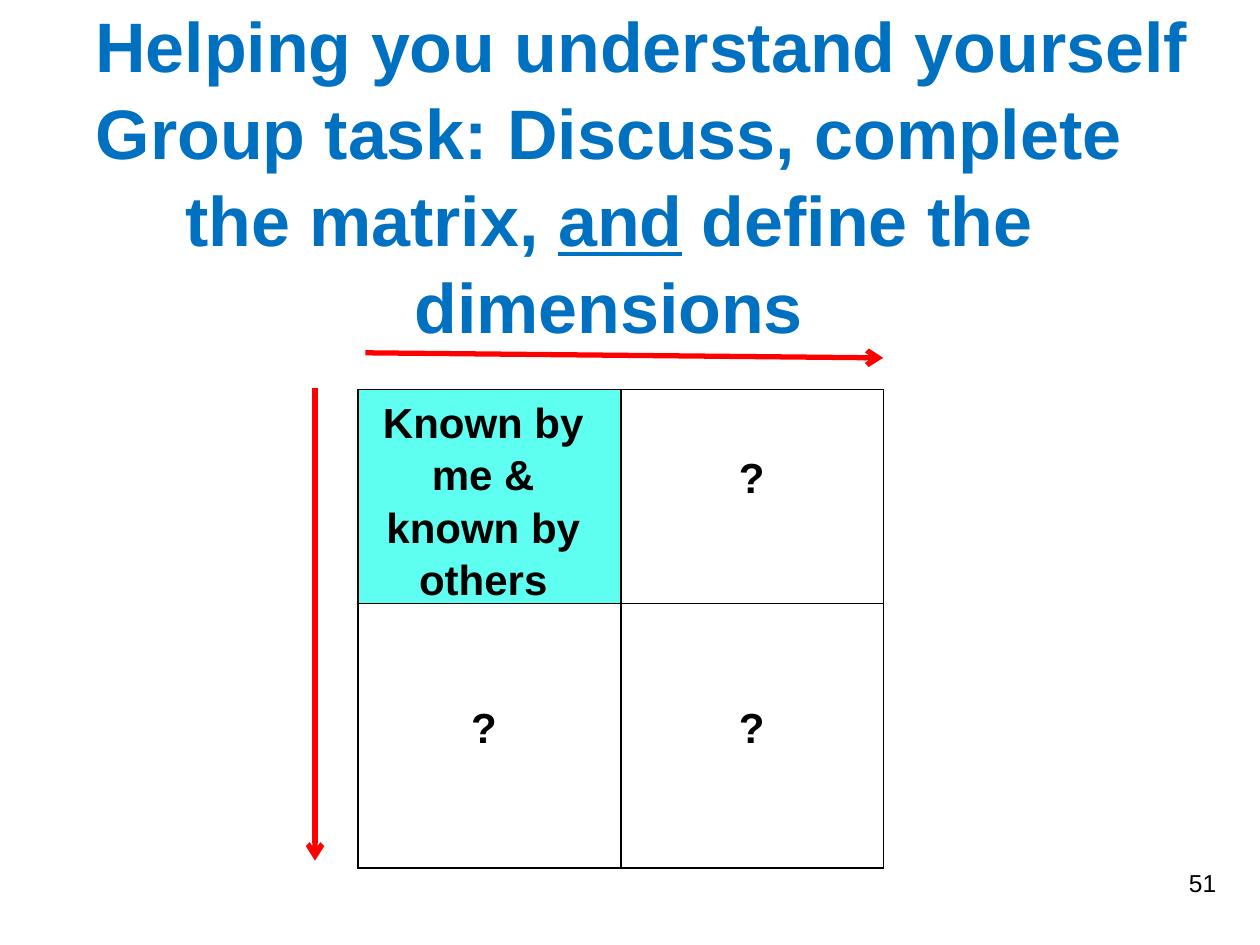
from lxml.etree import SubElement as Sub
from pptx import Presentation
from pptx.dml.color import RGBColor as RGB
from pptx.enum.shapes import MSO_CONNECTOR as Connector
from pptx.enum.text import MSO_ANCHOR as Anchor, MSO_AUTO_SIZE as AutoSize, PP_ALIGN as Align
from pptx.oxml.ns import qn
from pptx.util import Pt

COLORS = {"text": "000000", "title": "0070C0", "arrow": "FF0000",
          "known": "5EFFF0", "border": "000000"}
FORMATS = {
    "title": {"size": Pt(40), "bold": True},
    "cell": {"size": Pt(24), "bold": True},
    "number": {"size": Pt(14), "bold": False},
}


class SlideBuilder:
    font_name = "Arial"
    line_spacing = 1.04

    def __init__(self, presentation):
        self.slide = presentation.slides.add_slide(presentation.slide_layouts[6])

    def text(self, box, runs, style, color="text", align=Align.CENTER,
             anchor=Anchor.TOP, fit=AutoSize.NONE):
        """Add one paragraph; runs are (text, underlined) pairs."""
        shape = self.slide.shapes.add_textbox(*map(Pt, box))
        frame = shape.text_frame
        frame_format = {"word_wrap": True, "auto_size": fit, "vertical_anchor": anchor}
        for name, value in frame_format.items():
            setattr(frame, name, value)
        paragraph = frame.paragraphs[0]
        paragraph.alignment = align
        paragraph.line_spacing = self.line_spacing
        for words, underlined in runs:
            run = paragraph.add_run()
            run.text = words
            font_format = {"name": self.font_name, "underline": underlined, **FORMATS[style]}
            for name, value in font_format.items():
                setattr(run.font, name, value)
            run.font.color.rgb = RGB.from_string(COLORS[color])

    def arrow(self, start, end, width=3):
        line = self.slide.shapes.add_connector(
            Connector.STRAIGHT, *map(Pt, (*start, *end)))
        line.line.width = Pt(width)
        line.line.color.rgb = RGB.from_string(COLORS["arrow"])
        Sub(line.line._get_or_add_ln(), qn("a:tailEnd"), type="arrow")
        Sub(line._element.spPr, qn("a:effectLst"))

    def matrix(self, left, top, column_widths, row_heights, fills):
        """Add a bordered table; fills maps (row, column) to a colour name."""
        table = self.slide.shapes.add_table(
            len(row_heights), len(column_widths), Pt(left), Pt(top),
            Pt(sum(column_widths)), Pt(sum(row_heights))).table
        table.first_row = table.horz_banding = False
        for column, width in zip(table.columns, column_widths):
            column.width = Pt(width)
        for row_index, height in enumerate(row_heights):
            table.rows[row_index].height = Pt(height)
            for column_index in range(len(column_widths)):
                cell = table.cell(row_index, column_index)
                self.borders(cell)
                fill = fills.get((row_index, column_index))
                if fill:
                    cell.fill.solid()
                    cell.fill.fore_color.rgb = RGB.from_string(COLORS[fill])
                else:
                    cell.fill.background()

    def borders(self, cell, width=1):
        properties = cell._tc.get_or_add_tcPr()
        for side in ("lnL", "lnR", "lnT", "lnB"):
            line = Sub(properties, qn(f"a:{side}"), w=str(Pt(width)))
            Sub(Sub(line, qn("a:solidFill")), qn("a:srgbClr"), val=COLORS["border"])


def main():
    presentation = Presentation()
    presentation.slide_width, presentation.slide_height = Pt(720), Pt(540)
    builder = SlideBuilder(presentation)

    # Matrix grid
    builder.matrix(204.5, 222.5, [150.25] * 2, [122.4, 151.2], {(0, 0): "known"})

    # Slide number
    builder.text((671.8, 491.8, 30.3, 37.4), [("51", False)], "number", align=Align.RIGHT)

    # Quadrant labels
    for box, label in [
        ((204.5, 221.8, 143.3, 123.8), "Known by me & known by others"),
        ((387.4, 253.4, 84.2, 36.7), "?"),
        ((222.5, 396, 108, 36.7), "?"),
        ((366.5, 396, 126, 36.7), "?"),
    ]:
        builder.text(box, [(label, False)], "cell", fit=AutoSize.SHAPE_TO_FIT_TEXT)

    # Dimension arrows
    builder.arrow((180, 221.8), (180, 491.8))
    builder.arrow((208.8, 201.6), (504.7, 204.5))

    # Title and task
    for left, top, runs in [
        (42.5, 0, [("Helping you understand yourself", False)]),
        (23.8, 99.4, [("Group task: Discuss, complete the matrix, ", False),
                      ("and", True), (" define the dimensions", False)]),
    ]:
        builder.text((left, top, 648, 49), runs, "title", "title", anchor=Anchor.MIDDLE)

    presentation.save("out.pptx")


if __name__ == "__main__":
    main()
